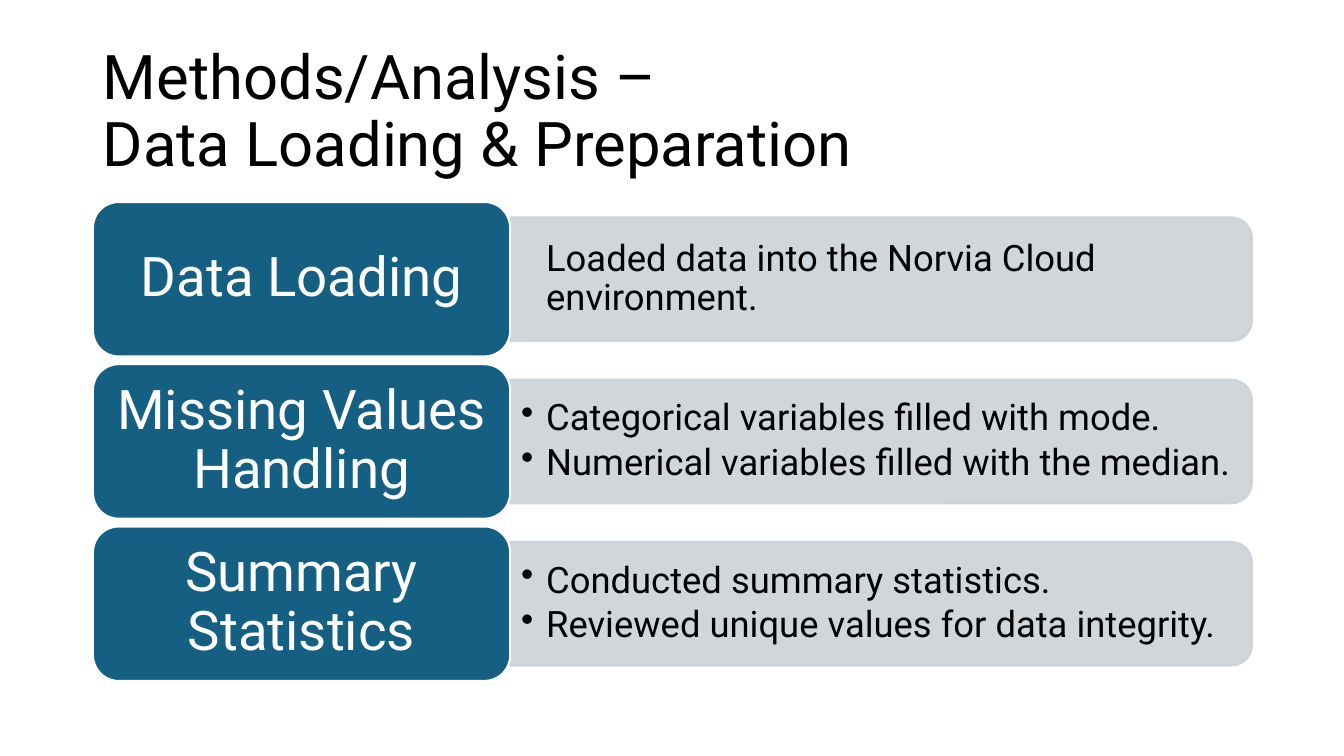
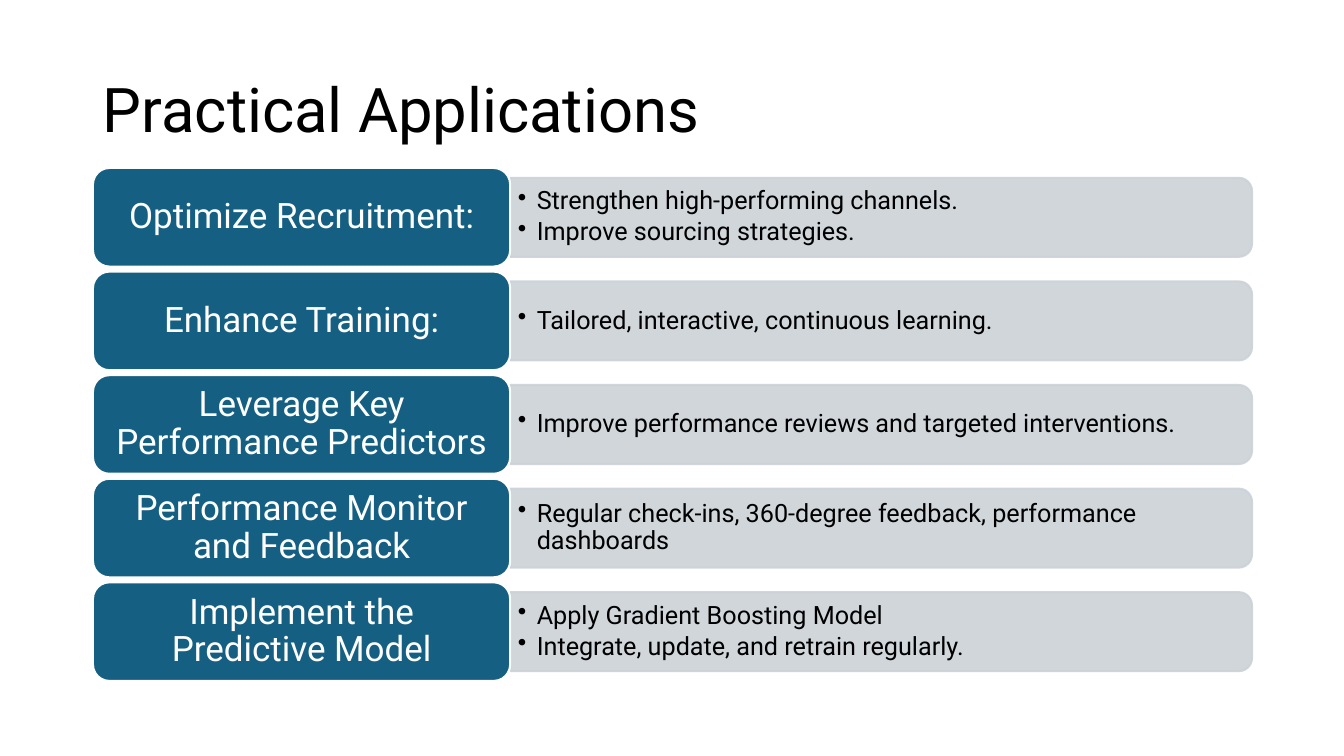
import pptx
import pptx.util
import pptx.dml.color
import pptx.enum.shapes
import pptx.enum.text
import pptx.oxml.ns
from lxml import etree

SLIDE_W, SLIDE_H = 1344, 756
EMU_PER_PX = 12192000 / SLIDE_W

FONT = "Roboto"
BLACK, WHITE = "000000", "FFFFFF"
LABEL_BLUE, BAR_GREY = "156082", "CCD2D8"
BAR_OPACITY = 90
OUTLINE_PT = 1.5

TITLE_BOX = (93, 40, 1159, 146)
ROWS_LEFT, ROWS_WIDTH, ROWS_BOTTOM = 93, 1159, 681
LABEL_SHARE = 0.36      # label width as a share of the row
GAP_SHARE = 0.05        # gap between rows as a share of the row height
BAR_SHARE = 0.8         # bar height as a share of the row height
BAR_TEXT_SHARE = 0.9    # text height as a share of the bar height

SHAPES = pptx.enum.shapes.MSO_SHAPE
ALIGN = pptx.enum.text.PP_ALIGN

SLIDES = [
    {
        "title": "Methods/Analysis –\nData Loading & Preparation",
        "top": 202, "label_size": 39, "detail_size": 26, "hang": 25,
        "rows": [
            ("Data Loading",
             ["Loaded data into the Norvia Cloud environment."], False),
            ("Missing Values Handling",
             ["Categorical variables filled with mode.",
              "Numerical variables filled with the median."], True),
            ("Summary Statistics",
             ["Conducted summary statistics.",
              "Reviewed unique values for data integrity."], True),
        ],
    },
    {
        "title": "Practical Applications",
        "top": 168, "label_size": 25, "detail_size": 18, "hang": 19,
        "rows": [
            ("Optimize Recruitment:",
             ["Strengthen high-performing channels.",
              "Improve sourcing strategies."], True),
            ("Enhance Training:",
             ["Tailored, interactive, continuous learning."], True),
            ("Leverage Key Performance Predictors",
             ["Improve performance reviews and targeted interventions."], True),
            ("Performance Monitor and Feedback",
             ["Regular check-ins, 360-degree feedback, performance dashboards"], True),
            ("Implement the Predictive Model",
             ["Apply Gradient Boosting Model",
              "Integrate, update, and retrain regularly."], True),
        ],
    },
]


def px(length):
    return pptx.util.Emu(round(length * EMU_PER_PX))


def rgb(hex_string):
    return pptx.dml.color.RGBColor.from_string(hex_string)


def set_opacity(fill_parent, percent):
    for color in fill_parent.iter(pptx.oxml.ns.qn("a:srgbClr")):
        alpha = etree.SubElement(color, pptx.oxml.ns.qn("a:alpha"))
        alpha.set("val", str(percent * 1000))


def add_box(slide, kind, box, fill, line, opacity=100):
    shape = slide.shapes.add_shape(kind, *map(px, box))
    shape.shadow.inherit = False
    shape.fill.solid()
    shape.fill.fore_color.rgb = rgb(fill)
    shape.line.color.rgb = rgb(line)
    shape.line.width = pptx.util.Pt(OUTLINE_PT)
    if opacity < 100:
        set_opacity(shape.element.spPr, opacity)
    return shape


def write(shape, lines, size, color=BLACK, align=ALIGN.LEFT, inset_pt=None,
          hang=0, bullets=False, space_after=0):
    """Fill a shape with one paragraph per line."""
    frame = shape.text_frame
    frame.word_wrap = True
    frame.vertical_anchor = pptx.enum.text.MSO_ANCHOR.MIDDLE
    if inset_pt is not None:
        frame.margin_left = frame.margin_right = pptx.util.Pt(inset_pt)
        frame.margin_top = frame.margin_bottom = pptx.util.Pt(inset_pt / 2)
    for index, line in enumerate(lines):
        paragraph = frame.add_paragraph() if index else frame.paragraphs[0]
        paragraph.text = line
        paragraph.alignment = align
        paragraph.line_spacing = 0.9
        paragraph.space_after = pptx.util.Pt(space_after)
        for run in paragraph.runs:
            run.font.name = FONT
            run.font.size = pptx.util.Pt(size)
            run.font.color.rgb = rgb(color)
        properties = paragraph._p.get_or_add_pPr()
        properties.set("marL", str(px(hang)))
        properties.set("indent", str(px(-hang if bullets else 0)))
        if bullets:
            bullet = etree.SubElement(properties, pptx.oxml.ns.qn("a:buChar"))
            bullet.set("char", "•")


def add_title(slide, box, title):
    write(slide.shapes.add_textbox(*map(px, box)), [title], 44)


def add_bar(slide, box, details, size, hang, bullets):
    left, top, width, height = box
    # A quarter turn puts the two rounded corners on the right
    turned = (left + (width - height) / 2, top + (height - width) / 2, height, width)
    bar = add_box(slide, SHAPES.ROUND_2_SAME_RECTANGLE, turned,
                  BAR_GREY, BAR_GREY, BAR_OPACITY)
    bar.rotation = 90

    # Upright text, kept clear of the rounded corners
    text_height = height * BAR_TEXT_SHARE
    margin = (height - text_height) / 2
    detail_text = slide.shapes.add_textbox(
        *map(px, (left, top + margin, width - margin, text_height)))
    write(detail_text, details, size, inset_pt=0.3 * size, hang=hang,
          bullets=bullets, space_after=0.15 * size)


def add_row(slide, box, row, label_size, detail_size, hang):
    left, top, width, height = box
    label, details, bullets = row
    label_width = width * LABEL_SHARE
    bar_height = height * BAR_SHARE
    bar_box = (left + label_width, top + (height - bar_height) / 2,
               width - label_width, bar_height)
    add_bar(slide, bar_box, details, detail_size, hang, bullets)

    label_box = add_box(slide, SHAPES.ROUNDED_RECTANGLE,
                        (left, top, label_width, height), LABEL_BLUE, WHITE)
    write(label_box, [label], label_size, color=WHITE, align=ALIGN.CENTER,
          inset_pt=0.3 * label_size)


def add_rows(slide, box, rows, **sizes):
    left, top, width, height = box
    row_height = height / (len(rows) + (len(rows) - 1) * GAP_SHARE)
    pitch = row_height * (1 + GAP_SHARE)
    for index, row in enumerate(rows):
        add_row(slide, (left, top + index * pitch, width, row_height), row, **sizes)


def build_slide(deck, content):
    slide = deck.slides.add_slide(deck.slide_layouts[6])
    add_title(slide, TITLE_BOX, content["title"])
    rows_box = (ROWS_LEFT, content["top"], ROWS_WIDTH, ROWS_BOTTOM - content["top"])
    add_rows(slide, rows_box, content["rows"], label_size=content["label_size"],
             detail_size=content["detail_size"], hang=content["hang"])


def main():
    deck = pptx.Presentation()
    deck.slide_width, deck.slide_height = px(SLIDE_W), px(SLIDE_H)
    for content in SLIDES:
        build_slide(deck, content)
    deck.save("out.pptx")


if __name__ == "__main__":
    main()
